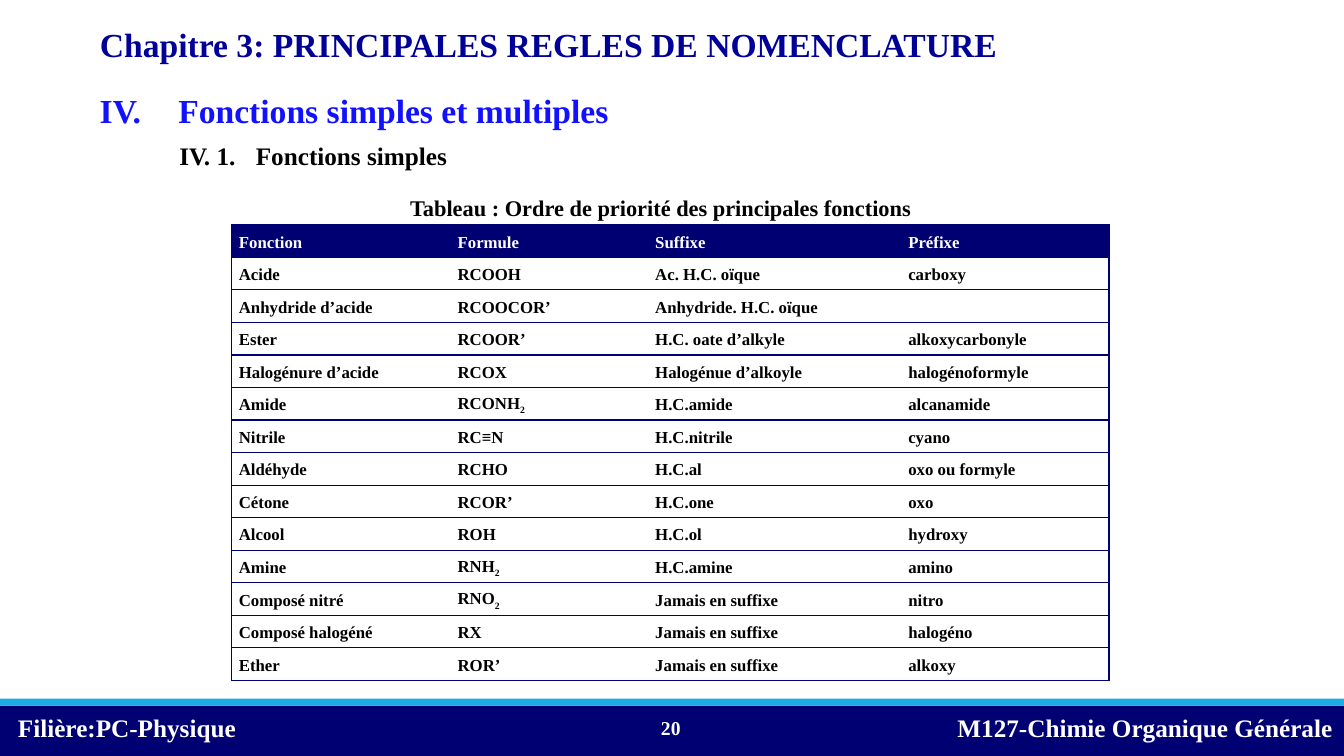
from dataclasses import dataclass
from typing import Any, Optional

from lxml.etree import SubElement
from pptx import Presentation
from pptx.dml.color import RGBColor
from pptx.enum.shapes import MSO_SHAPE
from pptx.enum.text import MSO_ANCHOR, MSO_AUTO_SIZE, PP_ALIGN
from pptx.oxml import parse_xml
from pptx.oxml.ns import nsdecls, qn
from pptx.util import Inches, Pt


@dataclass(frozen=True)
class Theme:
    """Font, colours and type sizes of the slide."""
    font: str = "Times New Roman"
    navy: str = "000072"
    cyan: str = "1CADE4"
    title: str = "000099"
    blue: str = "1111FF"
    black: str = "000000"
    white: str = "FFFFFF"
    heading: int = 24
    subheading: int = 18
    caption: int = 16
    page: int = 14
    cell: int = 12


@dataclass(frozen=True)
class Box:
    """A rectangle in percent of the slide's width and height."""
    left: float
    top: float
    width: float
    height: float

    def emu(self) -> tuple[int, int, int, int]:
        """Return left, top, width and height in EMU."""
        return (int(WIDTH * self.left / 100), int(HEIGHT * self.top / 100),
                int(WIDTH * self.width / 100), int(HEIGHT * self.height / 100))


@dataclass(frozen=True)
class Band:
    """A filled bar of the footer."""
    box: Box
    color: str


@dataclass(frozen=True)
class Label:
    """A text box and its format."""
    box: Box
    text: str
    size: int
    color: str
    anchor: MSO_ANCHOR = MSO_ANCHOR.TOP
    align: PP_ALIGN = PP_ALIGN.LEFT
    wrap: bool = True
    spacing: Optional[float] = None
    after: float = 0
    tab: Optional[float] = None


WIDTH, HEIGHT = Inches(13.33), Inches(7.5)
THEME = Theme()
BANDS = (
    Band(Box(0, 93.33, 100, 6.67), THEME.navy),
    Band(Box(0, 92.4, 100, 0.93), THEME.cyan),
)
TITLE = Label(Box(6.68, 2.53, 80.7, 6.67), "Chapitre 3: PRINCIPALES REGLES DE NOMENCLATURE",
              THEME.heading, THEME.title)
LABELS = (
    Label(Box(0.6, 93.6, 33.3, 5.33), "Filière:PC-Physique", THEME.subheading, THEME.white),
    Label(Box(70.5, 93.6, 29.5, 5.33), "M127-Chimie Organique Générale",
          THEME.subheading, THEME.white, wrap=False),
    Label(Box(47.63, 93.6, 3.75, 5.33), "20", THEME.page, THEME.white,
          anchor=MSO_ANCHOR.MIDDLE, align=PP_ALIGN.RIGHT),
    Label(Box(6.68, 8.53, 63.8, 8.4), "IV.\tFonctions simples et multiples",
          THEME.heading, THEME.blue, spacing=1.5, after=8, tab=0.78),
    Label(Box(12.6, 17.87, 21.7, 5.33), "IV. 1.\tFonctions simples", THEME.subheading,
          THEME.black, anchor=MSO_ANCHOR.MIDDLE, wrap=False, tab=0.76),
    Label(Box(29.78, 24.93, 39.3, 4.93), "Tableau : Ordre de priorité des principales fonctions",
          THEME.caption, THEME.black, anchor=MSO_ANCHOR.MIDDLE, wrap=False),
)
TABLE_BOX = Box(17.25, 29.73, 65.25, 60.27)
COLUMNS = (2.17, 1.96, 2.51, 2.06)
ROWS = (
    ("Fonction", "Formule", "Suffixe", "Préfixe"),
    ("Acide", "RCOOH", "Ac. H.C. oïque", "carboxy"),
    ("Anhydride d’acide", "RCOOCOR’", "Anhydride. H.C. oïque", ""),
    ("Ester", "RCOOR’", "H.C. oate d’alkyle", "alkoxycarbonyle"),
    ("Halogénure d’acide", "RCOX", "Halogénue d’alkoyle", "halogénoformyle"),
    ("Amide", "RCONH2", "H.C.amide", "alcanamide"),
    ("Nitrile", "RC≡N", "H.C.nitrile", "cyano"),
    ("Aldéhyde", "RCHO", "H.C.al", "oxo ou formyle"),
    ("Cétone", "RCOR’", "H.C.one", "oxo"),
    ("Alcool", "ROH", "H.C.ol", "hydroxy"),
    ("Amine", "RNH2", "H.C.amine", "amino"),
    ("Composé nitré", "RNO2", "Jamais en suffixe", "nitro"),
    ("Composé halogéné", "RX", "Jamais en suffixe", "halogéno"),
    ("Ether", "ROR’", "Jamais en suffixe", "alkoxy"),
)


def write(tf: Any, text: str, *, size: int, color: str, align: PP_ALIGN = PP_ALIGN.LEFT,
          spacing: Optional[float] = None, after: float = 0,
          tab: Optional[float] = None, subscript: str = "") -> None:
    """Write one bold paragraph, with an optional tab stop and trailing subscript."""
    p = tf.paragraphs[0]
    p.alignment, p.space_before, p.space_after = align, Pt(0), Pt(after)
    if spacing:
        p.line_spacing = spacing
    if tab:
        tabs = SubElement(p._p.get_or_add_pPr(), qn("a:tabLst"))
        SubElement(tabs, qn("a:tab"), pos=str(Inches(tab)), algn="l")
    for part in filter(None, (text, subscript)):
        r = p.add_run()
        r.text = part
        r.font.name, r.font.size, r.font.bold = THEME.font, Pt(size), True
        r.font.color.rgb = RGBColor.from_string(color)
        if part is subscript:
            r.font._element.set("baseline", "-25000")


def place_label(sp: Any, label: Label) -> None:
    """Position a text shape and fill it with a label."""
    sp.left, sp.top, sp.width, sp.height = label.box.emu()
    tf = sp.text_frame
    tf.word_wrap, tf.vertical_anchor = label.wrap, label.anchor
    tf.auto_size = MSO_AUTO_SIZE.NONE
    tf.margin_left = tf.margin_right = Inches(0.1)
    tf.margin_top = tf.margin_bottom = Inches(0.05)
    write(tf, label.text, size=label.size, color=label.color, align=label.align,
          spacing=label.spacing, after=label.after, tab=label.tab)


def add_band(s: Any, band: Band) -> None:
    """Draw a footer bar."""
    sp = s.shapes.add_shape(MSO_SHAPE.RECTANGLE, *band.box.emu())
    sp.shadow.inherit = False
    sp.fill.solid()
    sp.fill.fore_color.rgb = RGBColor.from_string(band.color)
    sp.line.fill.background()


def set_borders(cell: Any, sides: str) -> None:
    """Rule the given sides of a cell in navy and clear the others."""
    tc_pr = cell._tc.get_or_add_tcPr()
    for i, side in enumerate("LRTB"):
        fill = f'<a:solidFill><a:srgbClr val="{THEME.navy}"/></a:solidFill>'
        tc_pr.insert(i, parse_xml(f'<a:ln{side} {nsdecls("a")} w="12700">'
                                  f'{fill if side in sides else "<a:noFill/>"}</a:ln{side}>'))


def add_functions_table(s: Any) -> None:
    """Draw the table of functional groups."""
    table = s.shapes.add_table(len(ROWS), len(COLUMNS), *TABLE_BOX.emu()).table
    table.horz_banding = False
    for column, width in zip(table.columns, COLUMNS):
        column.width = Inches(width)
    for i, row in enumerate(ROWS):
        for j, text in enumerate(row):
            cell = table.cell(i, j)
            cell.vertical_anchor = MSO_ANCHOR.MIDDLE
            cell.margin_left = cell.margin_right = Inches(0.07)
            cell.margin_top = cell.margin_bottom = 0
            cell.fill.solid()
            cell.fill.fore_color.rgb = RGBColor.from_string(THEME.white if i else THEME.navy)
            set_borders(cell, "TB" + "L" * (j == 0) + "R" * (j == len(COLUMNS) - 1))
            if text:
                stem = text.rstrip("2")
                write(cell.text_frame, stem, subscript=text[len(stem):], size=THEME.cell,
                      color=THEME.black if i else THEME.white, align=PP_ALIGN.JUSTIFY,
                      spacing=1.15, after=8)


def main() -> None:
    """Build and save the slide."""
    prs = Presentation()
    prs.slide_width, prs.slide_height = WIDTH, HEIGHT
    s = prs.slides.add_slide(prs.slide_layouts[5])
    for band in BANDS:
        add_band(s, band)
    place_label(s.shapes.title, TITLE)
    for label in LABELS:
        place_label(s.shapes.add_textbox(*label.box.emu()), label)
    add_functions_table(s)
    prs.save("out.pptx")


if __name__ == "__main__":
    main()
